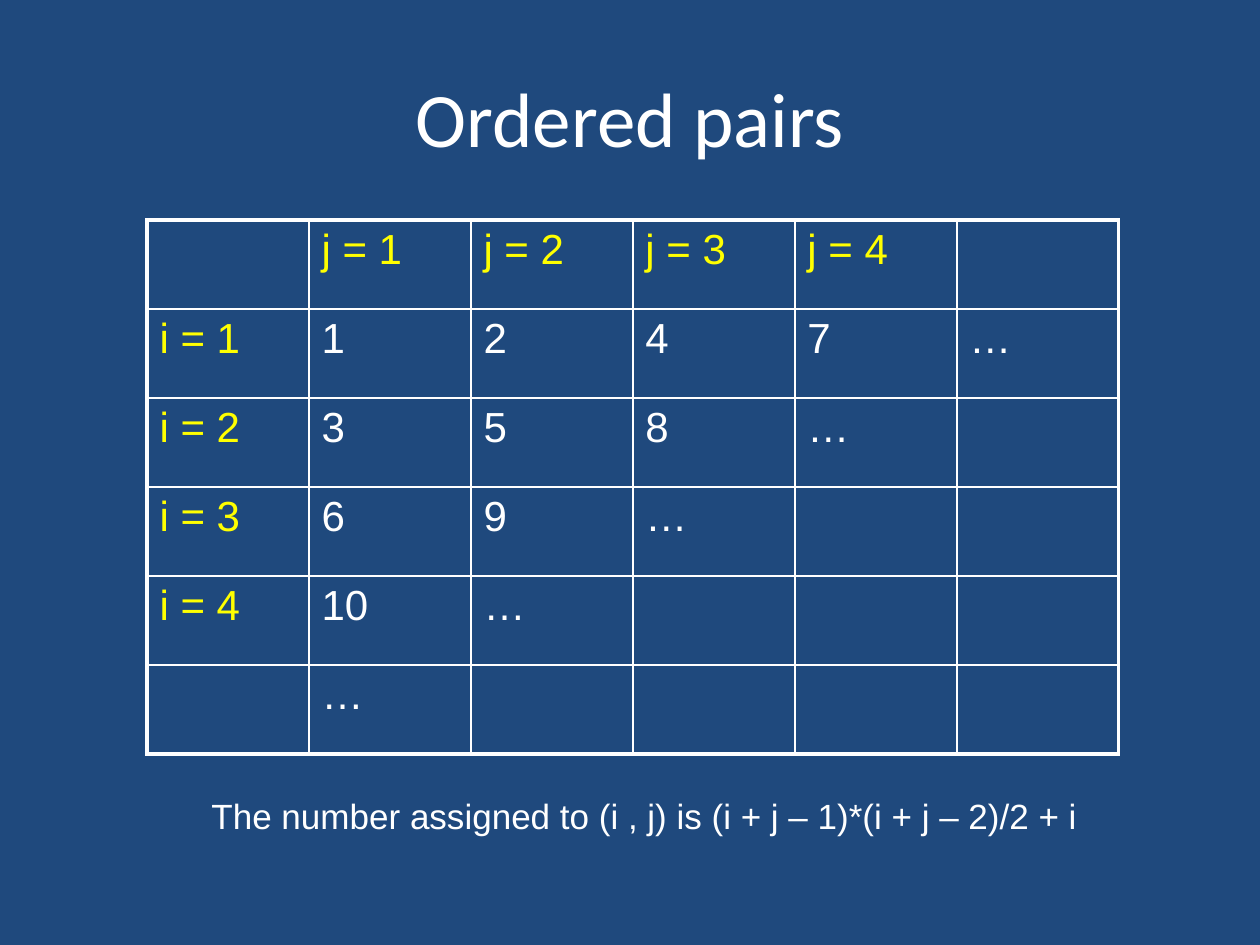
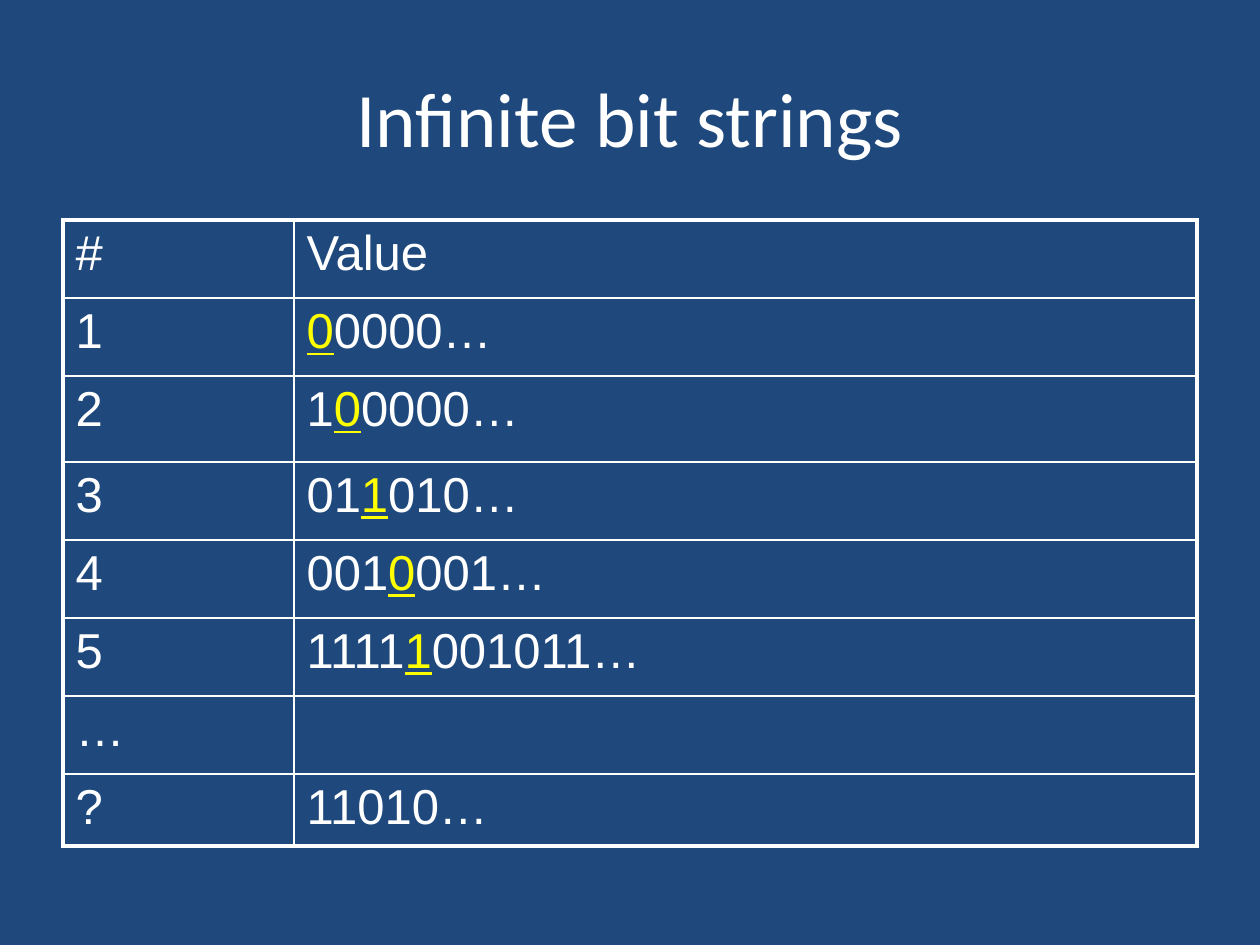
from lxml import etree
from pptx import Presentation
from pptx.dml.color import RGBColor
from pptx.enum.text import MSO_ANCHOR, MSO_AUTO_SIZE, PP_ALIGN
from pptx.oxml.ns import qn
from pptx.util import Emu, Pt

MIDDLE = MSO_ANCHOR.MIDDLE
CENTER = PP_ALIGN.CENTER
GROW = MSO_AUTO_SIZE.SHAPE_TO_FIT_TEXT

NAVY = RGBColor(0x1F, 0x49, 0x7D)
WHITE = RGBColor(0xFF, 0xFF, 0xFF)
YELLOW = RGBColor(0xFF, 0xFF, 0x00)

TITLE_FONT = "Calibri"
BODY_FONT = "Arial"
TITLE_ONLY = 5
PX_PER_INCH = 126
TABLE_TOP = 220
OUTER_LINE = Pt(2.25)
INNER_LINE = Pt(1)
LAST_NUMBERED_SUM = 5  # pairs with a larger i + j are only hinted at

BIT_STRINGS = ["00000…", "100000…", "011010…", "0010001…", "11111001011…"]


def px(length):
    return Emu(round(length * 914400 / PX_PER_INCH))


def format_run(run, size, color=WHITE, font_name=BODY_FONT):
    run.font.name = font_name
    run.font.size = Pt(size)
    run.font.color.rgb = color


def add_titled_slide(presentation, title_text):
    slide = presentation.slides.add_slide(presentation.slide_layouts[TITLE_ONLY])
    slide.background.fill.solid()
    slide.background.fill.fore_color.rgb = NAVY
    title = slide.shapes.title
    title.left, title.top, title.width, title.height = map(px, (63, 38, 1134, 157))
    title.text_frame.text = title_text
    title.text_frame.vertical_anchor = MIDDLE
    paragraph = title.text_frame.paragraphs[0]
    paragraph.alignment = CENTER
    format_run(paragraph.runs[0], 44, font_name=TITLE_FONT)
    return slide


def set_borders(cell, widths):
    """Draw white cell borders; widths are left, right, top, bottom."""
    properties = cell._tc.get_or_add_tcPr()
    for side, width in zip("LRTB", widths):
        line = etree.SubElement(properties, qn("a:ln" + side), w=str(width))
        fill = etree.SubElement(line, qn("a:solidFill"))
        etree.SubElement(fill, qn("a:srgbClr"), val=str(WHITE))


def add_grid(slide, left, column_widths, row_heights):
    """Add an unfilled table with a heavy frame and thin inner lines."""
    row_count, column_count = len(row_heights), len(column_widths)
    table = slide.shapes.add_table(
        row_count, column_count, px(left), px(TABLE_TOP),
        px(sum(column_widths)), px(sum(row_heights))).table
    table.first_row = table.horz_banding = False
    for column, width in zip(table.columns, column_widths):
        column.width = px(width)
    for row, height in zip(table.rows, row_heights):
        row.height = px(height)
    for row in range(row_count):
        for column in range(column_count):
            on_frame = (column == 0, column == column_count - 1,
                        row == 0, row == row_count - 1)
            cell = table.cell(row, column)
            set_borders(cell, [OUTER_LINE if outer else INNER_LINE for outer in on_frame])
            cell.fill.background()
    return table


def write_cell(cell, text, size, color=WHITE):
    paragraph = cell.text_frame.paragraphs[0]
    paragraph.text = text
    for run in paragraph.runs:
        format_run(run, size, color)


def write_marked_cell(cell, text, size, marked):
    """Write text with the character at index marked in underlined yellow."""
    paragraph = cell.text_frame.paragraphs[0]
    for part in filter(None, (text[:marked], text[marked], text[marked + 1:])):
        run = paragraph.add_run()
        run.text = part
        format_run(run, size)
    marked_run = paragraph.runs[1 if marked else 0]
    marked_run.font.color.rgb = YELLOW
    marked_run.font.underline = True


def add_caption(slide, text, left, top, width, height):
    caption = slide.shapes.add_textbox(px(left), px(top), px(width), px(height))
    caption.text_frame.word_wrap = True
    caption.text_frame.auto_size = GROW
    caption.text_frame.text = text
    format_run(caption.text_frame.paragraphs[0].runs[0], 20)


def pair_number(i, j):
    return (i + j - 1) * (i + j - 2) // 2 + i


def build_ordered_pairs(presentation):
    slide = add_titled_slide(presentation, "Ordered pairs")
    table = add_grid(slide, 147, [162] * 6, [89] * 6)
    # Row and column headings
    for index in range(1, LAST_NUMBERED_SUM):
        write_cell(table.cell(0, index), f"j = {index}", 24, YELLOW)
        write_cell(table.cell(index, 0), f"i = {index}", 24, YELLOW)
    # Numbered diagonals, then one diagonal of dots
    for i in range(1, LAST_NUMBERED_SUM + 1):
        last_j = LAST_NUMBERED_SUM + 1 - i
        for j in range(1, last_j):
            write_cell(table.cell(i, j), str(pair_number(i, j)), 24)
        write_cell(table.cell(i, last_j), "…", 24)
    add_caption(slide, "The number assigned to (i , j) is (i + j – 1)*(i + j – 2)/2 + i",
                199, 788, 924, 54)


def build_bit_strings(presentation):
    slide = add_titled_slide(presentation, "Infinite bit strings")
    table = add_grid(slide, 63, [231, 903], [78, 78, 86, 78, 78, 78, 78, 72])
    labels = ["#", *map(str, range(1, len(BIT_STRINGS) + 1)), "…", "?"]
    for row, label in enumerate(labels):
        write_cell(table.cell(row, 0), label, 28)
    write_cell(table.cell(0, 1), "Value", 28)
    # The diagonal bit of each string is marked
    for position, bits in enumerate(BIT_STRINGS):
        write_marked_cell(table.cell(position + 1, 1), bits, 28, position)
    write_cell(table.cell(len(labels) - 1, 1), "11010…", 28)


def main():
    presentation = Presentation()
    presentation.slide_width, presentation.slide_height = px(1260), px(945)
    build_ordered_pairs(presentation)
    build_bit_strings(presentation)
    presentation.save("out.pptx")


if __name__ == "__main__":
    main()
